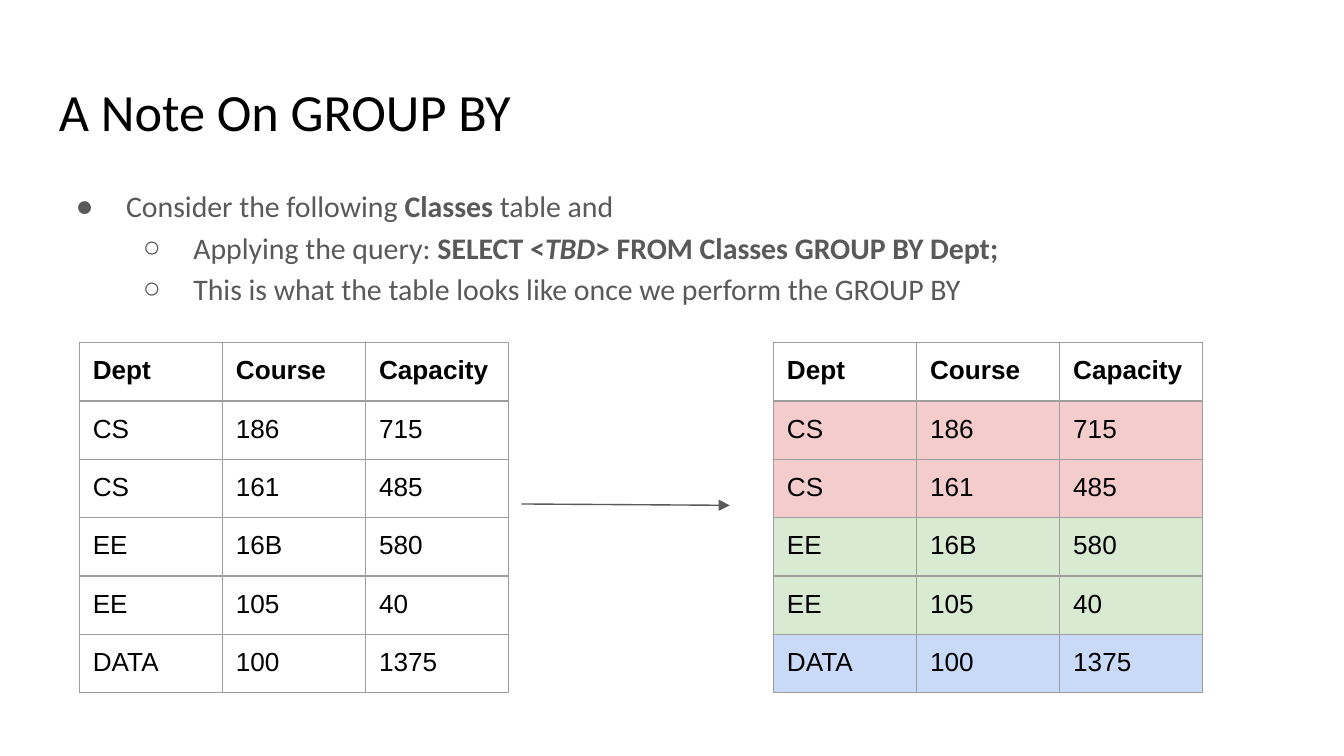
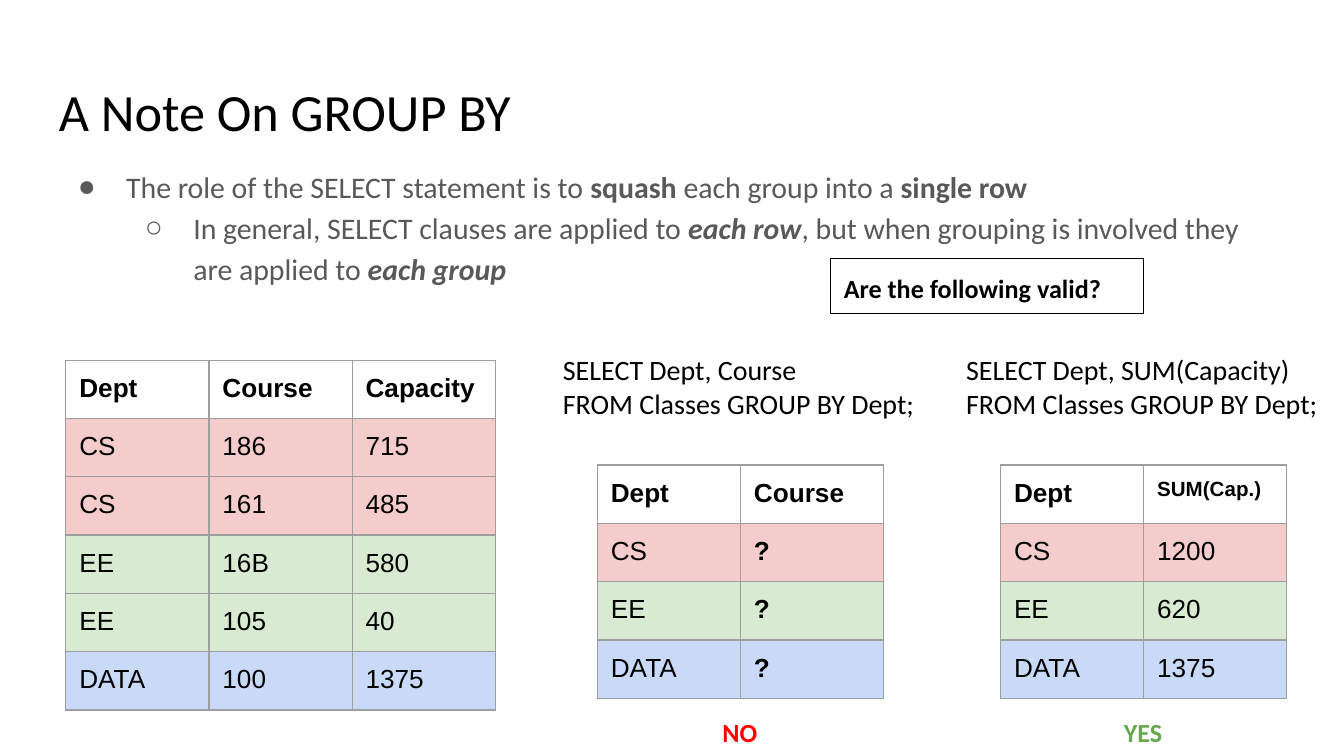
"""Builds two slides on what GROUP BY does to a table and how SELECT squashes each group."""

from dataclasses import dataclass, field

from lxml import etree
from pptx import Presentation
from pptx import util as u
from pptx.dml.color import RGBColor
from pptx.enum import shapes, text
from pptx.oxml import ns

PX = 4572
PAGE_WIDTH, PAGE_HEIGHT = 2000, 1125
INSET = 20
COLUMN_WIDTH, HEADER_HEIGHT, ROW_HEIGHT = 213, 83, 76
LEVEL_INDENT = 100
LINE_WEIGHT = u.Pt(0.75)

BLACK = RGBColor(0x00, 0x00, 0x00)
GREY = RGBColor(0x59, 0x59, 0x59)
BORDER = RGBColor(0x9E, 0x9E, 0x9E)
RED = RGBColor(0xFF, 0x00, 0x00)
GREEN = RGBColor(0x6A, 0xA8, 0x4F)
GROUP_FILLS = {
    "CS": RGBColor(0xF4, 0xCC, 0xCC),
    "EE": RGBColor(0xD9, 0xEA, 0xD3),
    "DATA": RGBColor(0xC9, 0xDA, 0xF8),
}

TITLE = "A Note On GROUP BY"
HEADING_FONT, TABLE_FONT = "Calibri", "Arial"
CLASSES = (
    ("Dept", "Course", "Capacity"),
    ("CS", "186", "715"),
    ("CS", "161", "485"),
    ("EE", "16B", "580"),
    ("EE", "105", "40"),
    ("DATA", "100", "1375"),
)


@dataclass(frozen=True)
class Area:
    left: int
    top: int
    width: int
    height: int

    def emu(self) -> tuple[int, ...]:
        return tuple(side * PX for side in (self.left, self.top, self.width, self.height))


@dataclass(frozen=True)
class Style:
    size: int
    color: RGBColor = BLACK
    font: str = HEADING_FONT
    bold: bool = False


@dataclass(frozen=True)
class Span:
    text: str
    bold: bool = False
    italic: bool = False


@dataclass(frozen=True)
class Bullet:
    level: int
    spans: tuple[Span, ...]


@dataclass(frozen=True)
class Grid:
    left: int
    top: int
    rows: tuple[tuple[str, ...], ...]
    grouped: bool = True
    header_sizes: dict[str, int] = field(default_factory=dict)


@dataclass(frozen=True)
class Query:
    left: int
    width: int
    lines: tuple[str, ...]
    grid: Grid
    verdict: str
    verdict_color: RGBColor


TITLE_STYLE = Style(28)
BODY_STYLE = Style(16, GREY)
QUERY_STYLE = Style(15)

GROUPING_BULLETS = (
    Bullet(0, (Span("Consider the following "), Span("Classes", bold=True), Span(" table and"))),
    Bullet(1, (
        Span("Applying the query: "),
        Span("SELECT <", bold=True),
        Span("TBD", bold=True, italic=True),
        Span("> FROM Classes GROUP BY Dept;", bold=True),
    )),
    Bullet(1, (Span("This is what the table looks like once we perform the GROUP BY"),)),
)
SQUASH_BULLETS = (
    Bullet(0, (
        Span("The role of the SELECT statement is to "),
        Span("squash", bold=True),
        Span(" each group into a "),
        Span("single row", bold=True),
    )),
    Bullet(1, (
        Span("In general, SELECT clauses are applied to "),
        Span("each row", bold=True, italic=True),
        Span(", but when grouping is involved they are applied to "),
        Span("each group", bold=True, italic=True),
    )),
)
QUERIES = (
    Query(
        818, 566, ("SELECT Dept, Course ", "FROM Classes GROUP BY Dept;"),
        Grid(889, 692, (("Dept", "Course"), ("CS", "?"), ("EE", "?"), ("DATA", "?"))),
        "NO", RED,
    ),
    Query(
        1418, 582, ("SELECT Dept, SUM(Capacity) FROM Classes GROUP BY Dept;",),
        Grid(
            1489, 692,
            (("Dept", "SUM(Cap.)"), ("CS", "1200"), ("EE", "620"), ("DATA", "1375")),
            header_sizes={"SUM(Cap.)": 11},
        ),
        "YES", GREEN,
    ),
)


def add_node(parent, tag: str, **attributes: str):
    return etree.SubElement(parent, ns.qn(tag), attributes)


def add_color(parent, tag: str, color: RGBColor) -> None:
    add_node(add_node(parent, tag), "a:srgbClr", val=str(color))


def add_span(para, span: Span, style: Style) -> None:
    run = para.add_run()
    run.text = span.text
    run.font.name = style.font
    run.font.size = u.Pt(style.size)
    run.font.color.rgb = style.color
    run.font.bold = style.bold or span.bold
    run.font.italic = span.italic


def set_margins(holder) -> None:
    holder.margin_left = holder.margin_right = INSET * PX
    holder.margin_top = holder.margin_bottom = INSET * PX


def set_frame(frame) -> None:
    frame.word_wrap = True
    frame.vertical_anchor = text.MSO_ANCHOR.TOP
    set_margins(frame)


def add_label(page, area: Area, lines: tuple[str, ...], style: Style,
              align=text.PP_ALIGN.LEFT, outlined: bool = False) -> None:
    if outlined:
        box = page.shapes.add_shape(shapes.MSO_SHAPE.RECTANGLE, *area.emu())
        box.shadow.inherit = False
        box.fill.background()
        box.line.color.rgb = BLACK
        box.line.width = LINE_WEIGHT
    else:
        box = page.shapes.add_textbox(*area.emu())
    set_frame(box.text_frame)
    para = box.text_frame.paragraphs[0]
    para.alignment = align
    for index, line in enumerate(lines):
        if index:
            para.add_line_break()
        add_span(para, Span(line), style)


def add_bullets(page, area: Area, bullets: tuple[Bullet, ...], hanging: int, mark_size: int) -> None:
    frame = page.shapes.add_textbox(*area.emu()).text_frame
    set_frame(frame)
    for index, bullet in enumerate(bullets):
        para = frame.add_paragraph() if index else frame.paragraphs[0]
        para.level = bullet.level
        para.line_spacing = 1.15
        props = para._p.get_or_add_pPr()
        props.set("marL", str((bullet.level + 1) * LEVEL_INDENT * PX))
        props.set("indent", str(-hanging * PX))
        add_color(props, "a:buClr", GREY)
        add_node(props, "a:buSzPts", val=str(mark_size * 100))
        add_node(props, "a:buFont", typeface=TABLE_FONT)
        add_node(props, "a:buChar", char="●○"[bullet.level])
        for span in bullet.spans:
            add_span(para, span, BODY_STYLE)


def add_borders(cell) -> None:
    props = cell._tc.get_or_add_tcPr()
    for side in "LRTB":
        line = add_node(props, f"a:ln{side}", w=str(int(LINE_WEIGHT)))
        add_color(line, "a:solidFill", BORDER)


def add_grid(page, grid: Grid) -> None:
    row_count, column_count = len(grid.rows), len(grid.rows[0])
    area = Area(grid.left, grid.top, column_count * COLUMN_WIDTH, row_count * ROW_HEIGHT)
    table = page.shapes.add_table(row_count, column_count, *area.emu()).table
    table.first_row = table.horz_banding = False
    table.rows[0].height = HEADER_HEIGHT * PX
    for row_index, values in enumerate(grid.rows):
        fill = GROUP_FILLS.get(values[0]) if grid.grouped else None
        for column_index, value in enumerate(values):
            cell = table.cell(row_index, column_index)
            set_margins(cell)
            add_borders(cell)
            if fill is None:
                cell.fill.background()
            else:
                cell.fill.solid()
                cell.fill.fore_color.rgb = fill
            size = grid.header_sizes.get(value, 14)
            bold = row_index == 0 or value == "?"
            para = cell.text_frame.paragraphs[0]
            para.line_spacing = 1.0
            add_span(para, Span(value), Style(size, font=TABLE_FONT, bold=bold))


def add_arrow(page, start: tuple[int, int], end: tuple[int, int]) -> None:
    points = (length * PX for length in start + end)
    arrow = page.shapes.add_connector(shapes.MSO_CONNECTOR.STRAIGHT, *points)
    arrow.line.color.rgb = GREY
    arrow.line.width = LINE_WEIGHT
    props = arrow._element.spPr
    add_node(props.find(ns.qn("a:ln")), "a:tailEnd", type="triangle")
    add_node(props, "a:effectLst")


def add_page(deck):
    page = deck.slides.add_slide(deck.slide_layouts[6])
    add_label(page, Area(68, 98, 1864, 126), (TITLE,), TITLE_STYLE)
    return page


def build_grouping_page(deck) -> None:
    page = add_page(deck)
    add_bullets(page, Area(68, 252, 1836, 236), GROUPING_BULLETS, hanging=75, mark_size=18)
    add_grid(page, Grid(118, 510, CLASSES, grouped=False))
    add_arrow(page, (776, 750), (1086, 752))
    add_grid(page, Grid(1151, 510, CLASSES))


def build_squash_page(deck) -> None:
    page = add_page(deck)
    add_bullets(page, Area(68, 223, 1836, 206), SQUASH_BULLETS, hanging=72, mark_size=16)
    add_grid(page, Grid(98, 536, CLASSES))
    add_label(page, Area(1236, 385, 466, 82), ("Are the following valid?",),
              Style(14, bold=True), outlined=True)
    for query in QUERIES:
        add_label(page, Area(query.left, 505, query.width, 176), query.lines, QUERY_STYLE)
        add_grid(page, query.grid)
        add_label(page, Area(query.grid.left + 134, 1046, 156, 62), (query.verdict,),
                  Style(14, query.verdict_color, bold=True), text.PP_ALIGN.CENTER)


def main() -> None:
    deck = Presentation()
    deck.slide_width, deck.slide_height = PAGE_WIDTH * PX, PAGE_HEIGHT * PX
    build_grouping_page(deck)
    build_squash_page(deck)
    deck.save("out.pptx")


if __name__ == "__main__":
    main()
